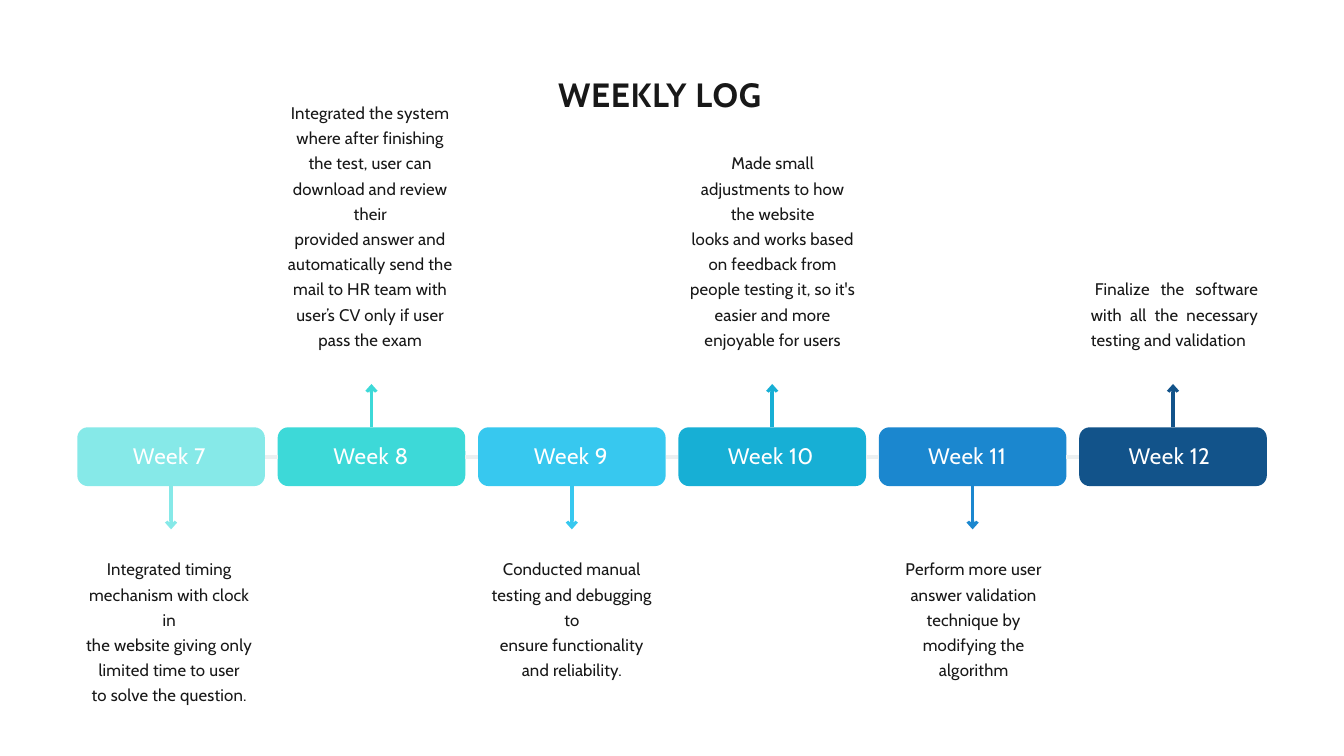
from pptx import Presentation
from pptx.dml.color import RGBColor
from pptx.enum.shapes import MSO_CONNECTOR as CONN, MSO_SHAPE as SHAPE
from pptx.enum.text import MSO_ANCHOR as ANCHOR, MSO_AUTO_SIZE as FIT, PP_ALIGN as ALIGN
from pptx.oxml.ns import qn
from pptx.util import Pt
from lxml import etree

FONT = "Cabin"
INK = RGBColor(0x18, 0x18, 0x18)
WHITE = RGBColor(0xFF, 0xFF, 0xFF)
LINK = RGBColor(0xEC, 0xF0, 0xF1)
AQUA = RGBColor(0x86, 0xE9, 0xE8)
TURQUOISE = RGBColor(0x3D, 0xD9, 0xD8)
SKY = RGBColor(0x37, 0xC8, 0xEF)
CYAN = RGBColor(0x17, 0xAF, 0xD5)
BLUE = RGBColor(0x1B, 0x87, 0xCF)
NAVY = RGBColor(0x12, 0x53, 0x8A)

# Timeline grid, in points
CARD_LEFT, CARD_TOP, CARD_W, CARD_H, PITCH = 82.8, 457.8, 201, 63, 214.7
ARROW_LEN = 46.4
NOTE_BOTTOM, NOTE_TOP = 375, 592  # notes above end here, notes below start here

# Week, colour, note left, width, height, paragraphs as (text, side margin)
WEEKS = [
    (7, AQUA, 84.2, 194.4, 164, [
        ("Integrated timing mechanism with clock in", 5),
        ("the website giving only limited time to user", 1),
        ("to solve the question.", 0)]),
    (8, TURQUOISE, 301.7, 190, 272, [
        ("Integrated the system where after finishing the test, user can "
         "download and review their", 5),
        ("provided answer and automatically send the mail to HR team with "
         "user’s CV only if user pass the exam", 1)]),
    (9, SKY, 516.2, 193, 137, [
        ("Conducted manual testing and debugging to", 1),
        ("ensure functionality and reliability.", 13.7)]),
    (10, CYAN, 732.2, 191.5, 218, [
        ("Made small adjustments to how the website", 14.4),
        ("looks and works based on feedback from people testing it, so it's "
         "easier and more enjoyable for users", 1)]),
    (11, BLUE, 966.2, 154, 137, [
        ("Perform more user answer validation technique by modifying the "
         "algorithm", 1)]),
    (12, NAVY, 1167.8, 181.4, 83, [
        ("Finalize the software with all the necessary testing and "
         "validation", 1)]),
]


def write(tf, text, size=18, color=INK, bold=False, align=ALIGN.LEFT,
          spacing=1.0, tracking=0.2, margin=1, indent=0, first=True):
    """Put one formatted paragraph into a text frame."""
    p = tf.paragraphs[0] if first else tf.add_paragraph()
    p.alignment, p.line_spacing = align, spacing
    pPr = p._p.get_or_add_pPr()
    for name, value in (("marL", margin), ("marR", margin), ("indent", indent)):
        pPr.set(name, str(Pt(value)))
    r = p.add_run()
    r.text = text
    r.font.name, r.font.size, r.font.bold = FONT, Pt(size), bold
    r.font.color.rgb = color
    r._r.get_or_add_rPr().set("spc", str(round(tracking * 100)))


class Deck:
    def __init__(self):
        self.prs = Presentation()
        self.prs.slide_width, self.prs.slide_height = Pt(1440), Pt(810)
        self.s = self.prs.slides.add_slide(self.prs.slide_layouts[5])

    def frame(self, sp):
        tf = sp.text_frame
        tf.margin_left = tf.margin_right = tf.margin_bottom = 0
        tf.margin_top = Pt(1.7)
        tf.vertical_anchor = ANCHOR.TOP
        tf.word_wrap = True
        tf.auto_size = FIT.SHAPE_TO_FIT_TEXT
        return tf

    def title(self, text, x, y, w, h):
        sp = self.s.shapes.title
        sp.left, sp.top, sp.width, sp.height = Pt(x), Pt(y), Pt(w), Pt(h)
        write(self.frame(sp), text, size=36, bold=True, tracking=0.8)

    def text(self, x, y, w, h):
        return self.frame(self.s.shapes.add_textbox(Pt(x), Pt(y), Pt(w), Pt(h)))

    def card(self, x, color):
        sp = self.s.shapes.add_shape(SHAPE.ROUNDED_RECTANGLE, Pt(x), Pt(CARD_TOP),
                                     Pt(CARD_W), Pt(CARD_H))
        sp.adjustments[0] = 0.18
        sp.shadow.inherit = False
        sp.fill.solid()
        sp.fill.fore_color.rgb = color
        sp.line.fill.background()
        return sp

    def line(self, x1, y1, x2, y2, color, width):
        c = self.s.shapes.add_connector(CONN.STRAIGHT, Pt(x1), Pt(y1), Pt(x2), Pt(y2))
        c.line.color.rgb, c.line.width = color, Pt(width)
        etree.SubElement(c._element.spPr, qn("a:effectLst"))
        return c

    def link(self, a, b):
        c = self.line(0, 0, 0, 0, LINK, 4.5)
        c.begin_connect(a, 3)
        c.end_connect(b, 1)

    def arrow(self, card, x, color, up):
        y = CARD_TOP if up else CARD_TOP + CARD_H
        tip = y - ARROW_LEN if up else y + ARROW_LEN
        c = self.line(x, y, x, tip, color, 3.75)
        c.begin_connect(card, 0 if up else 2)
        etree.SubElement(c.line._get_or_add_ln(), qn("a:tailEnd"),
                         type="arrow", w="med", len="sm")


def main():
    d = Deck()
    d.title("WEEKLY LOG", 596.9, 77.8, 247, 45.4)

    # Week cards, arrows and notes; even positions point up
    cards = []
    for i, (week, color, left, width, height, paragraphs) in enumerate(WEEKS):
        x, up = CARD_LEFT + i * PITCH, i % 2 == 1
        center = x + CARD_W / 2
        card = d.card(x, color)
        cards.append(card)
        label_w = 83 if week < 10 else 96.5
        write(d.text(center - label_w / 2, 472.3, label_w, 31), f"Week {week}",
              size=24, color=WHITE, tracking=0.5, margin=0.7)
        d.arrow(card, center, color, up)

        tf = d.text(left, NOTE_BOTTOM - height if up else NOTE_TOP, width, height)
        last = week == 12
        for n, (text, margin) in enumerate(paragraphs):
            write(tf, text, align=ALIGN.JUSTIFY if last else ALIGN.CENTER,
                  spacing=1.25, margin=margin, indent=4.3 if last else 0,
                  first=n == 0)

    # Links between neighbouring cards
    for a, b in zip(cards, cards[1:]):
        d.link(a, b)

    d.prs.save("out.pptx")


if __name__ == "__main__":
    main()
